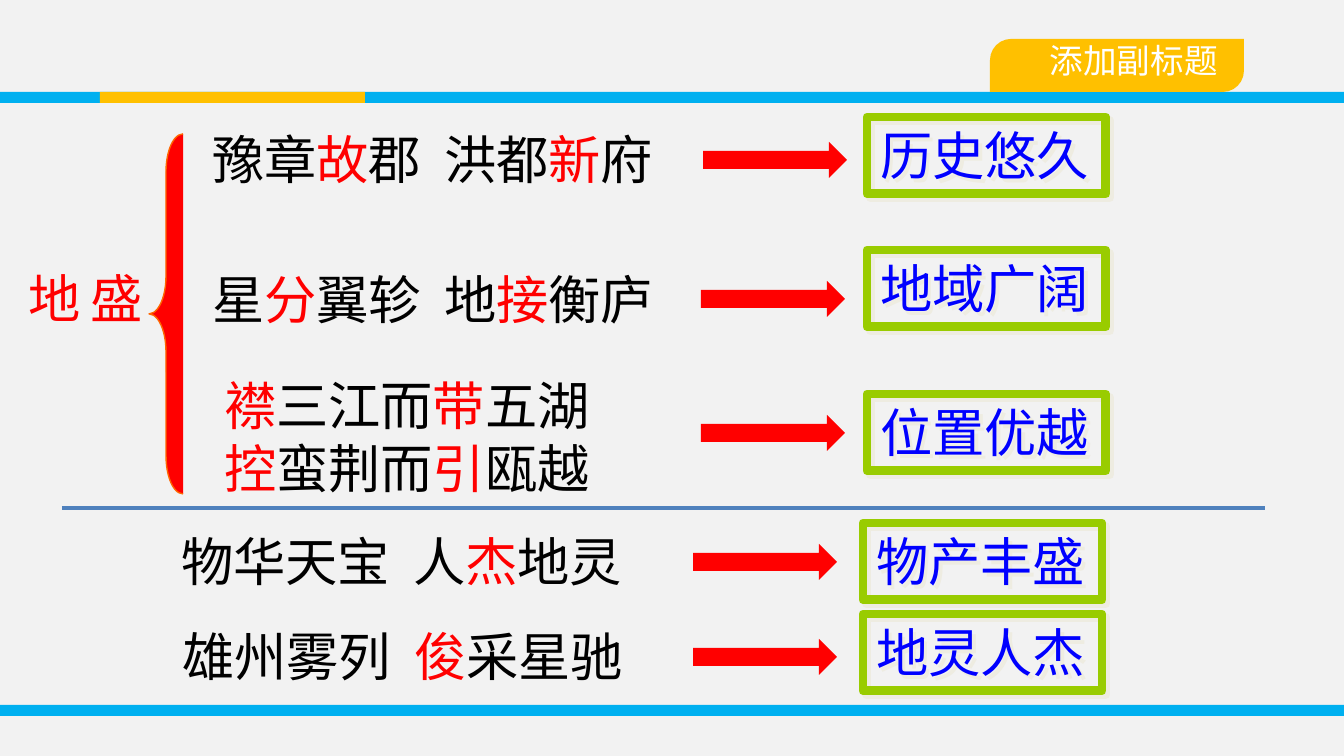
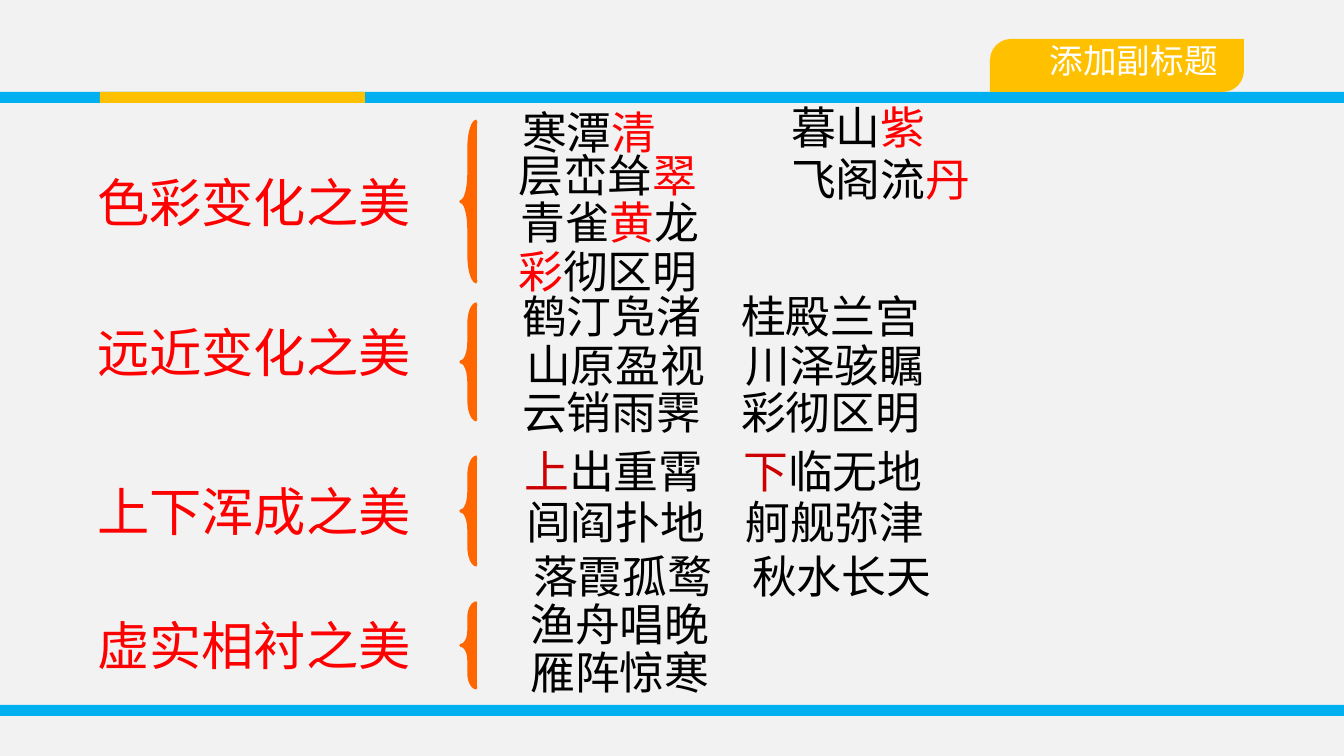
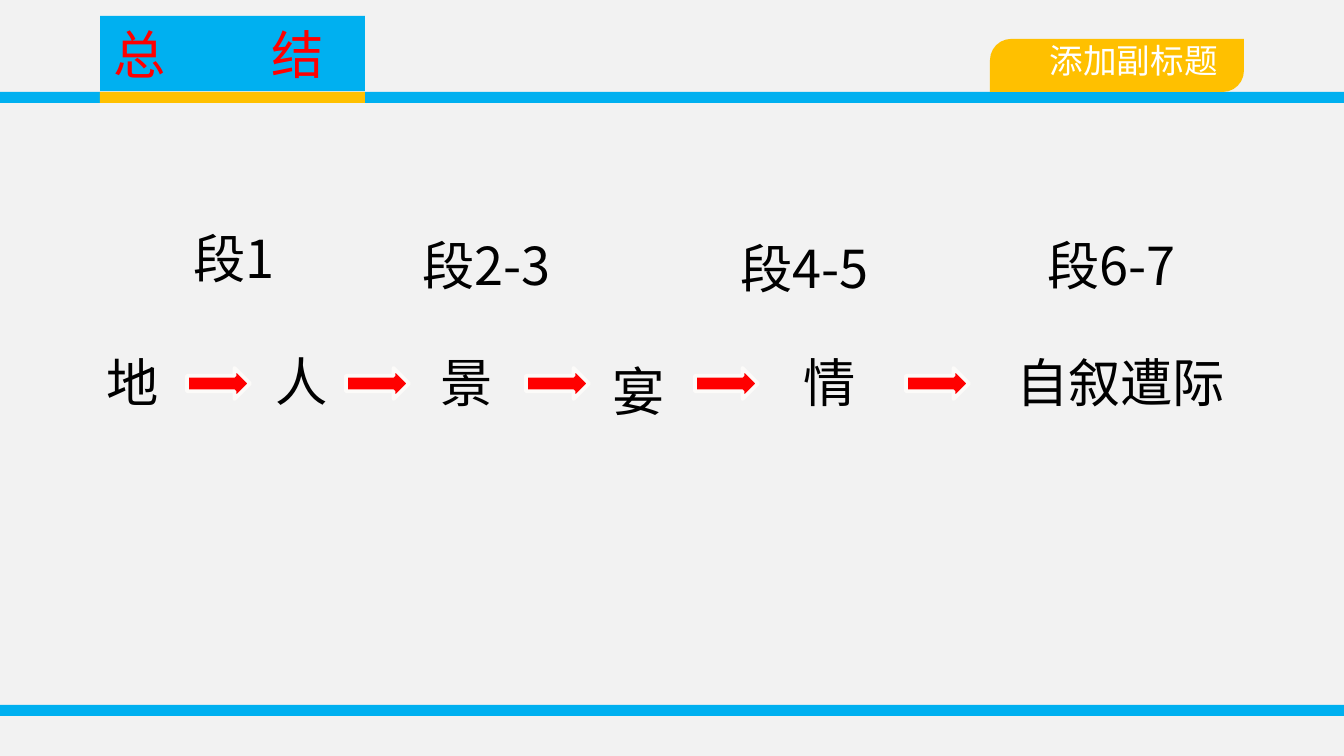
from lxml.etree import SubElement
from pptx import Presentation
from pptx.dml.color import RGBColor
from pptx.enum.shapes import MSO_CONNECTOR, MSO_SHAPE
from pptx.enum.text import MSO_ANCHOR, MSO_AUTO_SIZE, PP_ALIGN
from pptx.oxml.ns import qn
from pptx.util import Emu, Pt

SCALE = 9144000 / 1344  # EMU per px
WIDTH, HEIGHT = 1344, 756
CJK = "Noto Sans CJK SC"
COLORS = {
    "paper": "F2F2F2", "band": "00B0F0", "tab": "FFC000", "white": "FFFFFF",
    "ink": "000000", "red": "FF0000", "deep red": "CC0000", "orange": "FF6600",
    "blue": "0000FF", "green": "99CC00", "shade": "EEECE1", "rule": "4F81BD",
    "cream": "FCFBF9",
}
TITLE_ONLY, BLANK = 5, 6


def px(length):
    return Emu(round(length * SCALE))


def rgb(color):
    return RGBColor.from_string(COLORS[color])


class Deck:
    def __init__(self):
        self.prs = Presentation()
        self.prs.slide_width, self.prs.slide_height = px(WIDTH), px(HEIGHT)
        self.slide = None

    def new_slide(self, layout=BLANK):
        """Start a slide with the shared background, bands and subtitle tag."""
        self.slide = self.prs.slides.add_slide(self.prs.slide_layouts[layout])
        background = self.slide.background.fill
        background.solid()
        background.fore_color.rgb = rgb("paper")
        self.shape(MSO_SHAPE.RECTANGLE, 0, 705, WIDTH, 11, "band")
        self.shape(MSO_SHAPE.RECTANGLE, 0, 92, WIDTH, 11, "band")
        self.shape(MSO_SHAPE.RECTANGLE, 100, 92, 265, 11, "tab")
        tag = self.shape(MSO_SHAPE.ROUND_2_DIAG_RECTANGLE, 990, 39, 254, 53, "tab", adjust=0.4)
        self.add_words(tag, "添加副标题", 18, "white", align=PP_ALIGN.RIGHT)
        frame = tag.text_frame
        frame.vertical_anchor = MSO_ANCHOR.MIDDLE
        frame.margin_top, frame.margin_bottom, frame.margin_right = 0, px(10), px(20)

    def shape(self, kind, x, y, w, h, fill=None, line=None, weight=1, adjust=None):
        shape = self.slide.shapes.add_shape(kind, px(x), px(y), px(w), px(h))
        shape.shadow.inherit = False
        if fill:
            shape.fill.solid()
            shape.fill.fore_color.rgb = rgb(fill)
        else:
            shape.fill.background()
        if line:
            shape.line.color.rgb = rgb(line)
            shape.line.width = Pt(weight)
        else:
            shape.line.fill.background()
        if adjust is not None:
            shape.adjustments[0] = adjust
        return shape

    def add_words(self, shape, text, size, color="ink", accent="red", latin=CJK,
                  align=PP_ALIGN.LEFT, tab=0):
        """Fill a shape with text; parts between asterisks take the accent colour."""
        frame = shape.text_frame
        frame.word_wrap = True
        frame.vertical_anchor = MSO_ANCHOR.TOP
        for number, line in enumerate(text.split("\n")):
            paragraph = frame.add_paragraph() if number else frame.paragraphs[0]
            paragraph.alignment = align
            if tab:
                tabs = SubElement(paragraph._p.get_or_add_pPr(), qn("a:tabLst"))
                SubElement(tabs, qn("a:tab"), pos=str(px(tab)), algn="l")
            for part, words in enumerate(line.split("*")):
                if not words:
                    continue
                run = paragraph.add_run()
                run.text = words
                run.font.size = Pt(size)
                run.font.color.rgb = rgb(accent if part % 2 else color)
                run.font.name = latin
                SubElement(run.font._element, qn("a:ea"), typeface=CJK)

    def text(self, x, y, w, h, text, size=28, **style):
        box = self.slide.shapes.add_textbox(px(x), px(y), px(w), px(h))
        self.add_words(box, text, size, **style)
        return box

    def vertical_text(self, x, y, w, h, text, **style):
        box = self.text(x, y, w, h, text, **style)
        box.text_frame._txBody.bodyPr.set("vert", "eaVert")

    def title(self, x, y, w, h, text, tab):
        title = self.slide.shapes.title
        title.left, title.top, title.width, title.height = px(x), px(y), px(w), px(h)
        title.fill.solid()
        title.fill.fore_color.rgb = rgb("band")
        self.add_words(title, text, 28, "red", latin="Arial", tab=tab)
        title.text_frame.auto_size = MSO_AUTO_SIZE.NONE
        title.text_frame.vertical_anchor = MSO_ANCHOR.MIDDLE

    def brace(self, x, y, w, h, fill, weight, curve):
        self.shape(MSO_SHAPE.LEFT_BRACE, x, y, w, h, fill, "orange", weight, curve)

    def arrow(self, x, y, w, h, line=None):
        self.shape(MSO_SHAPE.RIGHT_ARROW, x, y, w, h, "red", line, 2)

    def framed(self, x, y, w, h, text):
        frame = self.shape(MSO_SHAPE.RECTANGLE, x, y, w, h, line="green", weight=4.75)
        effects = frame._element.spPr.find(qn("a:effectLst"))
        shadow = SubElement(effects, qn("a:outerShdw"), dist=str(Pt(2.8)), dir="2700000",
                            algn="ctr", rotWithShape="0")
        SubElement(shadow, qn("a:srgbClr"), val=COLORS["shade"])
        self.add_words(frame, text, 28, "blue")

    def rule(self, x1, x2, y):
        rule = self.slide.shapes.add_connector(
            MSO_CONNECTOR.STRAIGHT, px(x1), px(y), px(x2), px(y))
        rule.line.color.rgb = rgb("rule")
        rule.line.width = Pt(2)
        SubElement(rule._element.spPr, qn("a:effectLst"))


def place_slide(deck):
    deck.new_slide()
    deck.vertical_text(63, 259, 90, 120, "盛地", color="red")
    deck.brace(149, 134, 34, 360, "red", 0.75, 1.11)
    # verse and its place, arrow place, merit and its place
    rows = [
        ("豫章*故*郡\t洪都*新*府", 199, 121, 703, 142, "历史悠久", 867, 117),
        ("星*分*翼轸\t地*接*衡庐", 199, 261, 701, 281, "地域广阔", 867, 250),
        ("*襟*三江而*带*五湖\n*控*蛮荆而*引*瓯越", 211, 367, 701, 415, "位置优越", 867, 394),
        ("物华天宝\t人*杰*地灵", 168, 523, 693, 544, "物产丰盛", 863, 523),
        ("雄州雾列\t*俊*采星驰", 169, 618, 693, 639, "地灵人杰", 863, 614),
    ]
    for verse, x, y, arrow_x, arrow_y, merit, merit_x, merit_y in rows:
        deck.text(x, y, 504, 140 if "\n" in verse else 77, verse,
                  tab=232 if "\t" in verse else 0)
        deck.arrow(arrow_x, arrow_y, 144, 36)
        deck.framed(merit_x, merit_y, 239, 77, merit)
    deck.rule(62, 1265, 508)


def scenery_slide(deck):
    deck.new_slide()
    # beauty, its top, brace top, height and curve, verses with their places
    beauties = [
        ("色彩变化之美", 164, 121, 161, 1.75, [
            ("寒潭*清*", 509, 98), ("暮山*紫*", 778, 93),
            ("层峦耸*翠*", 505, 141), ("飞阁流*丹*", 778, 145),
            ("青雀*黄*龙", 507, 188), ("*彩*彻区明", 505, 237)]),
        ("远近变化之美", 314, 304, 116, 1.25, [
            ("鹤汀凫渚\t桂殿兰宫", 509, 282), ("山原盈视\t川泽骇瞩", 513, 331),
            ("云销雨霁\t彩彻区明", 509, 378)]),
        ("上下浑成之美", 473, 457, 108, 1.17, [
            ("*上*出重霄\t*下*临无地", 511, 437), ("闾阎扑地\t舸舰弥津", 513, 488),
            ("落霞孤鹜\t秋水长天", 520, 542)]),
        ("虚实相衬之美", 607, 603, 85, 0.92, [
            ("渔舟唱晚", 517, 590), ("雁阵惊寒", 517, 638)]),
    ]
    for beauty, top, brace_top, brace_height, curve, verses in beauties:
        deck.text(84, top, 350, 77, beauty, color="red")
        deck.brace(461, brace_top, 16, brace_height, "orange", 1.75, curve)
        for verse, x, y in verses:
            paired = "\t" in verse
            deck.text(x, y, 480 if paired else 208, 67, verse, 24,
                      accent="deep red" if paired else "red", tab=219 if paired else 0)


def summary_slide(deck):
    deck.new_slide(TITLE_ONLY)
    deck.title(100, 16, 265, 75, "总\t结", tab=158)
    # paragraph ranges
    for section, x, y, w in [("段1", 180, 220, 157), ("段2-3", 409, 227, 231),
                             ("段4-5", 727, 230, 220), ("段6-7", 1034, 227, 199)]:
        deck.text(x, y, w, 77, section)
    # chain of topics
    for topic, x, y, w, font in [
            ("地", 93, 344, 94, CJK), ("人", 262, 343, 94, CJK), ("景", 427, 344, 94, CJK),
            ("宴", 599, 353, 85, "Calibri"), ("情", 790, 344, 105, CJK),
            ("自叙遭际", 1003, 344, 325, CJK)]:
        deck.text(x, y, w, 77, topic, latin=font)
    for x in (187, 346, 526, 695, 906):
        deck.arrow(x, 368, 63, 31, "cream")


def main():
    deck = Deck()
    place_slide(deck)
    scenery_slide(deck)
    summary_slide(deck)
    deck.prs.save("out.pptx")


if __name__ == "__main__":
    main()
